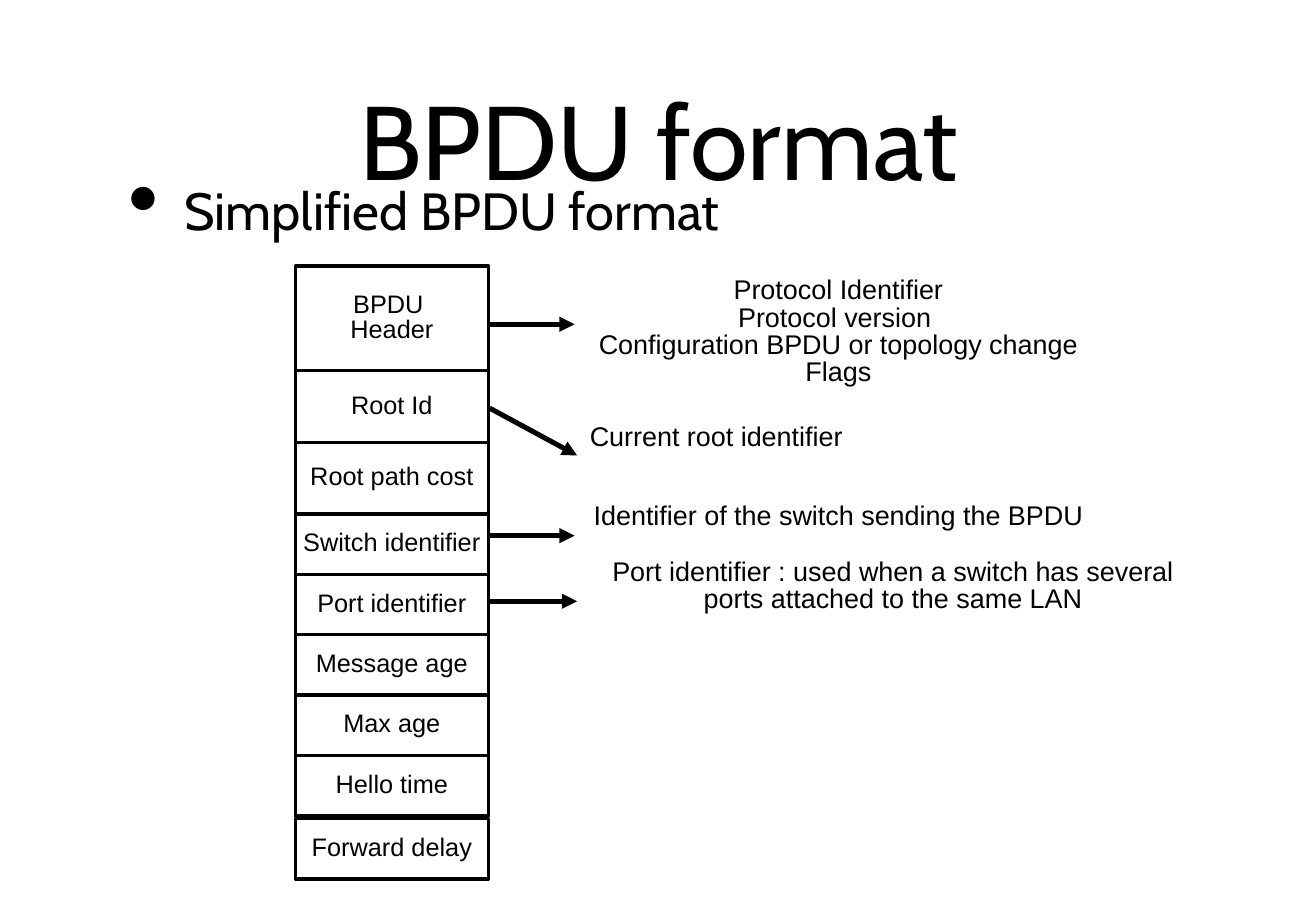
from dataclasses import dataclass

from lxml.etree import SubElement
from pptx import Presentation
from pptx.dml.color import RGBColor as RGB
from pptx.enum.shapes import MSO_CONNECTOR as CONN, MSO_SHAPE as SHAPE
from pptx.enum.text import MSO_ANCHOR as ANCHOR, PP_ALIGN as ALIGN
from pptx.oxml.ns import qn
from pptx.util import Emu, Inches, Pt

W, H = Inches(10.83), Inches(7.5)
COLORS = {"ink": "000000", "paper": "FFFFFF"}
TIGHT = 0.84  # line spacing of the diagram text

# Packet column, in percent of the slide's width and height
LEFT, TOP, WIDTH = 22.44, 29.2, 14.68


@dataclass
class Field:
    label: str
    height: float
    gap: float = 0


@dataclass
class Note:
    text: str
    box: tuple[float, float, float, float]
    arrow: tuple[float, float, float, float]


FIELDS = [
    Field("BPDU \nHeader", 11.47),
    Field("Root Id", 7.87),
    Field("Root path cost", 7.87),
    *(Field(name, 6.63) for name in ("Switch identifier", "Port identifier",
                                     "Message age", "Max age", "Hello time")),
    Field("Forward delay", 6.63, gap=0.3),
]

NOTES = [
    Note("Protocol Identifier\nProtocol version \n"
         "Configuration BPDU or topology change\nFlags",
         (45.24, 30.53, 36.93, 12.13), (37.03, 35.6, 43.67, 35.6)),
    Note("Current root identifier",
         (44.69, 46.67, 19.48, 3.07), (37.21, 44.8, 43.86, 50)),
    Note("Identifier of the switch sending the BPDU",
         (44.88, 55.33, 37.67, 3.07), (37.03, 58.8, 43.67, 58.8)),
    Note("Port identifier : used when a switch has several\v"
         "ports attached to the same LAN",
         (46.26, 61.47, 43.21, 6.13), (37.21, 66, 43.86, 66)),
]


def px(share: float) -> Emu:
    return Emu(round(W * share / 100))


def py(share: float) -> Emu:
    return Emu(round(H * share / 100))


def color(name: str) -> RGB:
    return RGB.from_string(COLORS[name])


def write(sp, text: str, *, size: float, font: str = "Arial", align=ALIGN.CENTER,
          anchor=ANCHOR.MIDDLE, inset: float = 0, wrap: bool = True,
          spacing: float | None = None) -> None:
    tf = sp.text_frame
    tf.word_wrap, tf.vertical_anchor = wrap, anchor
    tf.margin_left = tf.margin_right = tf.margin_top = tf.margin_bottom = Inches(inset)
    for i, line in enumerate(text.split("\n")):
        p = tf.add_paragraph() if i else tf.paragraphs[0]
        p.text, p.alignment = line, align
        if spacing:
            p.line_spacing = spacing
        for r in p.runs:
            r.font.name, r.font.size = font, Pt(size)
            r.font.color.rgb = color("ink")


def add_text(s, box: tuple[float, float, float, float], text: str, **fmt):
    x, y, w, h = box
    sp = s.shapes.add_textbox(px(x), py(y), px(w), py(h))
    write(sp, text, **fmt)
    return sp


def add_bullet(p, indent: float, hang: float, percent: int) -> None:
    pPr = p._p.get_or_add_pPr()
    pPr.set("marL", str(Inches(indent)))
    pPr.set("indent", str(-Inches(hang)))
    SubElement(pPr, qn("a:buSzPct")).set("val", str(percent * 1000))
    SubElement(pPr, qn("a:buChar")).set("char", "•")


def add_field(s, field: Field, y: float) -> None:
    sp = s.shapes.add_shape(SHAPE.ROUNDED_RECTANGLE, px(LEFT), py(y),
                            px(WIDTH), py(field.height))
    sp.adjustments[0] = 0
    sp.shadow.inherit = False
    sp.fill.background()
    sp.line.color.rgb, sp.line.width = color("ink"), Pt(2)
    write(sp, field.label, size=15, spacing=TIGHT)


def add_note(s, note: Note) -> None:
    add_text(s, note.box, note.text, size=16, anchor=ANCHOR.TOP,
             wrap=False, spacing=TIGHT)
    x1, y1, x2, y2 = note.arrow
    c = s.shapes.add_connector(CONN.STRAIGHT, px(x1), py(y1), px(x2), py(y2))
    c.line.color.rgb, c.line.width = color("ink"), Pt(3)
    SubElement(c.line._get_or_add_ln(), qn("a:tailEnd")).set("type", "triangle")
    SubElement(c._element.spPr, qn("a:effectLst"))


def main() -> None:
    prs = Presentation()
    prs.slide_width, prs.slide_height = W, H
    s = prs.slides.add_slide(prs.slide_layouts[6])
    s.background.fill.solid()
    s.background.fill.fore_color.rgb = color("paper")

    # Title and bullet
    add_text(s, (9.79, 2.67, 80.52, 25.07), "BPDU format",
             size=62, font="Cabin", inset=0.04)
    sp = add_text(s, (7.02, 18.67, 85.5, 8.67), "Simplified BPDU format",
                  size=31, font="Cabin", align=ALIGN.LEFT, inset=0.04)
    p = sp.text_frame.paragraphs[0]
    p.space_before = Pt(17.7)
    add_bullet(p, 0.72, 0.46, 171)

    # Packet fields, stacked from the top
    y = TOP
    for field in FIELDS:
        y += field.gap
        add_field(s, field, y)
        y += field.height

    # Explanations with their arrows
    for note in NOTES:
        add_note(s, note)

    prs.save("out.pptx")


if __name__ == "__main__":
    main()
